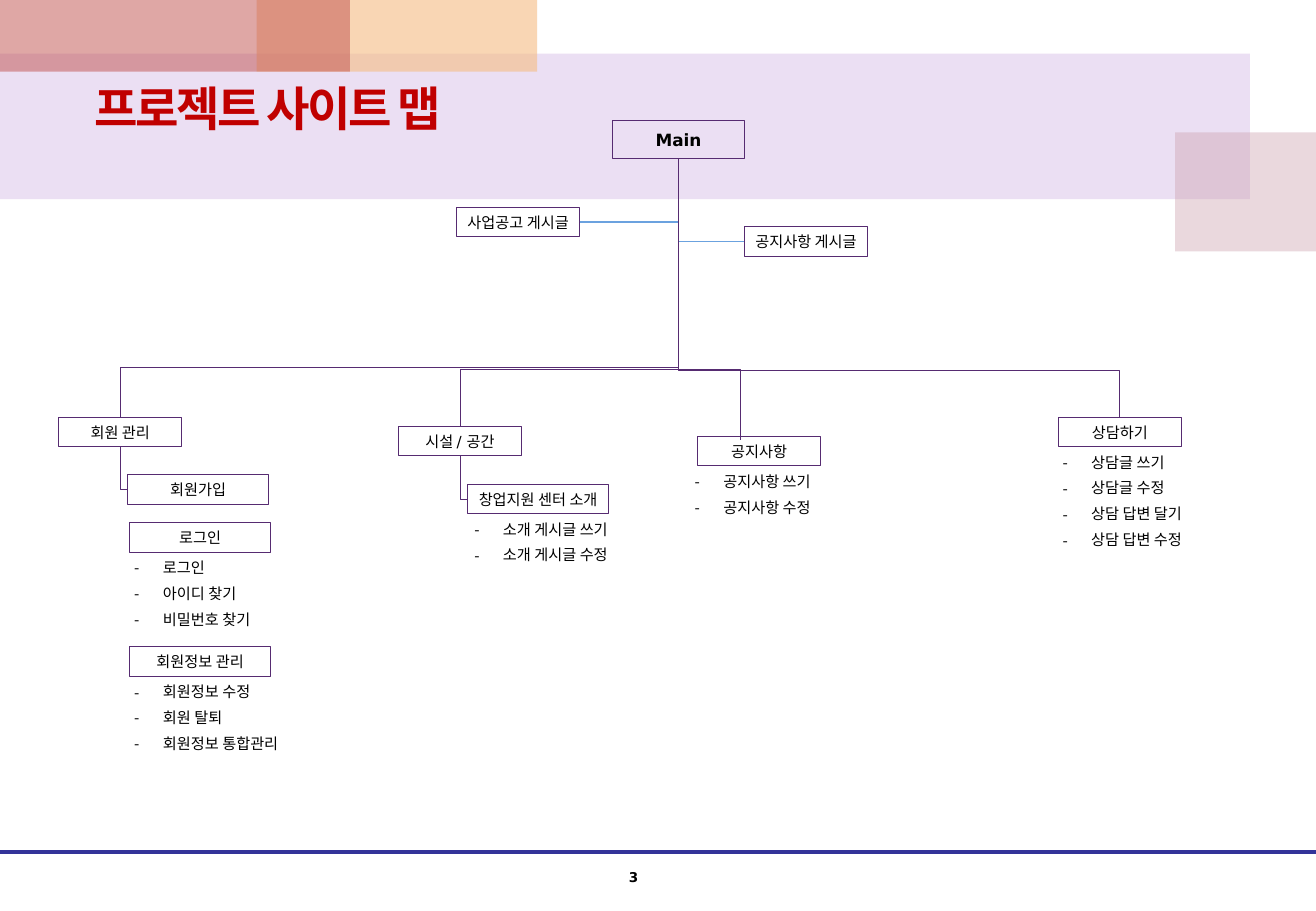
from lxml import etree
from pptx import Presentation
from pptx import util as u
from pptx.dml import color
from pptx.enum import shapes, text
from pptx.oxml import ns

Pt = u.Pt
HEX = {"band": "BF98D8", "rose": "CC9EAC", "orange": "F5BC83", "red": "C0504D",
       "rule": "333399", "purple": "562B71", "blue": "6BA2DF",
       "title": "C00000", "ink": "000000"}
LATIN, KOREAN = "DejaVu Sans", "Noto Sans CJK KR"

# Content: lengths in points
TITLE = "프로젝트 사이트 맵"
PAGE = "3"
BLOCKS = [  # left, top, width, height, colour, opacity %
    (0, 31.75, 741, 86.4, "band", 30), (696.7, 78.5, 83.4, 70.5, "rose", 40),
    (152.2, 0, 166.2, 42.5, "orange", 60), (0, 0, 207.5, 42.5, "red", 50)]
MAIN = ("Main", 363, 71.5, 78.5, 22.5)
BOARDS = [("사업공고 게시글", 270.5, 122.8, 3), ("공지사항 게시글", 441.2, 134.3, 1)]  # last: joined side
BRANCHES = [  # name, left, top, bus height, shift of the drop line, depth past the top edge
    ("회원 관리", 34.7, 247.4, 218, 0, 0),
    ("시설 / 공간", 236.1, 252.7, 219, 0, 0),
    ("공지사항", 413.4, 258.7, 219.2, -11, 2),
    ("상담하기", 627.3, 247.4, 219.6, 0, 0)]
PAGES = [  # name, left, top, branch it hangs from
    ("회원가입", 75.6, 281.3, 0), ("로그인", 76.7, 309.8, None),
    ("회원정보 관리", 76.7, 383.4, None), ("창업지원 센터 소개", 277.1, 287.1, 1)]
ACTIONS = {  # parent box: shift from its left edge, actions
    "로그인": (-4.2, ["로그인", "아이디 찾기", "비밀번호 찾기"]),
    "회원정보 관리": (-4.2, ["회원정보 수정", "회원 탈퇴", "회원정보 통합관리"]),
    "창업지원 센터 소개": (-3, ["소개 게시글 쓰기", "소개 게시글 수정"]),
    "공지사항": (-8.7, ["공지사항 쓰기", "공지사항 수정"]),
    "상담하기": (-4.5, ["상담글 쓰기", "상담글 수정", "상담 답변 달기", "상담 답변 수정"])}
BOX_H, BRANCH_W, PAGE_W = 17.5, 73.2, 83.7

deck = Presentation()
deck.slide_width, deck.slide_height = Pt(780.13), Pt(540)
slide = deck.slides.add_slide(deck.slide_layouts[6])


def rgb(name):
    return color.RGBColor.from_string(HEX[name])


def add_run(paragraph, words, size, latin=LATIN, ink="ink", bold=False):
    run = paragraph.add_run()
    run.text = words
    run.font.size, run.font.bold, run.font.name = Pt(size), bold, latin
    run.font.color.rgb = rgb(ink)
    return run


def add_block(left, top, width, height, fill, opacity):
    block = slide.shapes.add_shape(shapes.MSO_SHAPE.RECTANGLE, Pt(left), Pt(top), Pt(width), Pt(height))
    block.shadow.inherit = False
    block.line.fill.background()
    block.fill.solid()
    block.fill.fore_color.rgb = rgb(fill)
    tint = block.fill._xPr.find(".//" + ns.qn("a:srgbClr"))
    etree.SubElement(tint, ns.qn("a:alpha")).set("val", str(opacity * 1000))


def add_box(name, left, top, width, height=BOX_H, size=9, bold=False):
    box = slide.shapes.add_shape(shapes.MSO_SHAPE.RECTANGLE, Pt(left), Pt(top), Pt(width), Pt(height))
    box.shadow.inherit = False
    box.fill.background()
    box.line.color.rgb, box.line.width = rgb("purple"), Pt(0.5)
    frame = box.text_frame
    frame.word_wrap = False
    frame.vertical_anchor = text.MSO_ANCHOR.MIDDLE
    frame.paragraphs[0].alignment = text.PP_ALIGN.CENTER
    add_run(frame.paragraphs[0], name, size, bold=bold)
    return box


def add_text(left, top, width, height):
    area = slide.shapes.add_textbox(Pt(left), Pt(top), Pt(width), Pt(height))
    area.text_frame.word_wrap = True
    return area.text_frame


def add_line(x1, y1, x2, y2, ink, width, kind=shapes.MSO_CONNECTOR.STRAIGHT):
    line = slide.shapes.add_connector(kind, Pt(x1), Pt(y1), Pt(x2), Pt(y2))
    line.line.color.rgb, line.line.width = rgb(ink), Pt(width)
    etree.SubElement(line._element.spPr, ns.qn("a:effectLst"))
    return line


def add_elbow(x1, y1, x2, y2, bus=None):
    """Leave downwards, then turn sideways; with a bus height, turn down again."""
    run, drop = abs(x2 - x1), y2 - y1
    left, top = (x1 + x2 - drop) / 2, (y1 + y2 - run) / 2
    elbow = add_line(left, top, left + drop, top + run, "purple", 0.5, shapes.MSO_CONNECTOR.ELBOW)
    frame = elbow._element.spPr.find(ns.qn("a:xfrm"))
    frame.set("rot", str((90 if x2 < x1 else 270) * 60000))
    if x2 > x1:
        frame.set("flipH", "1")
    outline = elbow._element.spPr.find(ns.qn("a:prstGeom"))
    if bus is None:
        outline.set("prst", "bentConnector2")
    else:
        guide = etree.SubElement(outline.find(ns.qn("a:avLst")), ns.qn("a:gd"))
        guide.set("name", "adj1")
        guide.set("fmla", f"val {round((bus - y1) / drop * 100000)}")


def add_actions(left, top, actions):
    frame = add_text(left, top, 113, 3 + 16 * len(actions))
    for index, action in enumerate(actions):
        item = frame.paragraphs[0] if index == 0 else frame.add_paragraph()
        item.space_before = Pt(4.5 if index else 0)
        props = item._p.get_or_add_pPr()
        props.set("marL", str(Pt(17)))
        props.set("indent", str(-Pt(17)))
        etree.SubElement(props, ns.qn("a:buFont")).set("typeface", KOREAN)
        etree.SubElement(props, ns.qn("a:buChar")).set("char", "-")
        add_run(item, action, 9, KOREAN)


# Background, footer and title
for block in BLOCKS:
    add_block(*block)
add_line(0, 505, 780, 505, "rule", 2.5)
number = add_text(345.3, 511.3, 60.5, 20).paragraphs[0]
number.alignment = text.PP_ALIGN.CENTER
add_run(number, PAGE, 8, bold=True)
title = add_run(add_text(49, 43.4, 466, 41).paragraphs[0], TITLE, 28, "Arial", "title", True)
title.font._element.set("spc", "-150")

# Main page and the boards beside its trunk
add_box(*MAIN, size=10, bold=True)
trunk, main_bottom = MAIN[1] + MAIN[3] / 2, MAIN[2] + MAIN[4]
for name, left, top, side in BOARDS:
    board = add_box(name, left, top, BRANCH_W)
    middle = top + BOX_H / 2
    edge = left + (BRANCH_W if side == 3 else 0)
    add_line(edge, middle, trunk, middle, "blue", 0.75).begin_connect(board, side)

# Branches
corners = {}
for name, left, top, bus, shift, depth in BRANCHES:
    add_box(name, left, top, BRANCH_W)
    corners[name] = (left, top)
    add_elbow(trunk, main_bottom, left + BRANCH_W / 2 + shift, top + depth, bus)

# Pages under the branches
for name, left, top, parent in PAGES:
    add_box(name, left, top, PAGE_W)
    corners[name] = (left, top)
    if parent is not None:
        branch_left, branch_top = BRANCHES[parent][1:3]
        add_elbow(branch_left + BRANCH_W / 2, branch_top + BOX_H, left, top + BOX_H / 2)

# Actions below their boxes
for name, (shift, actions) in ACTIONS.items():
    left, top = corners[name]
    add_actions(left + shift, top + BOX_H, actions)

deck.save("out.pptx")
